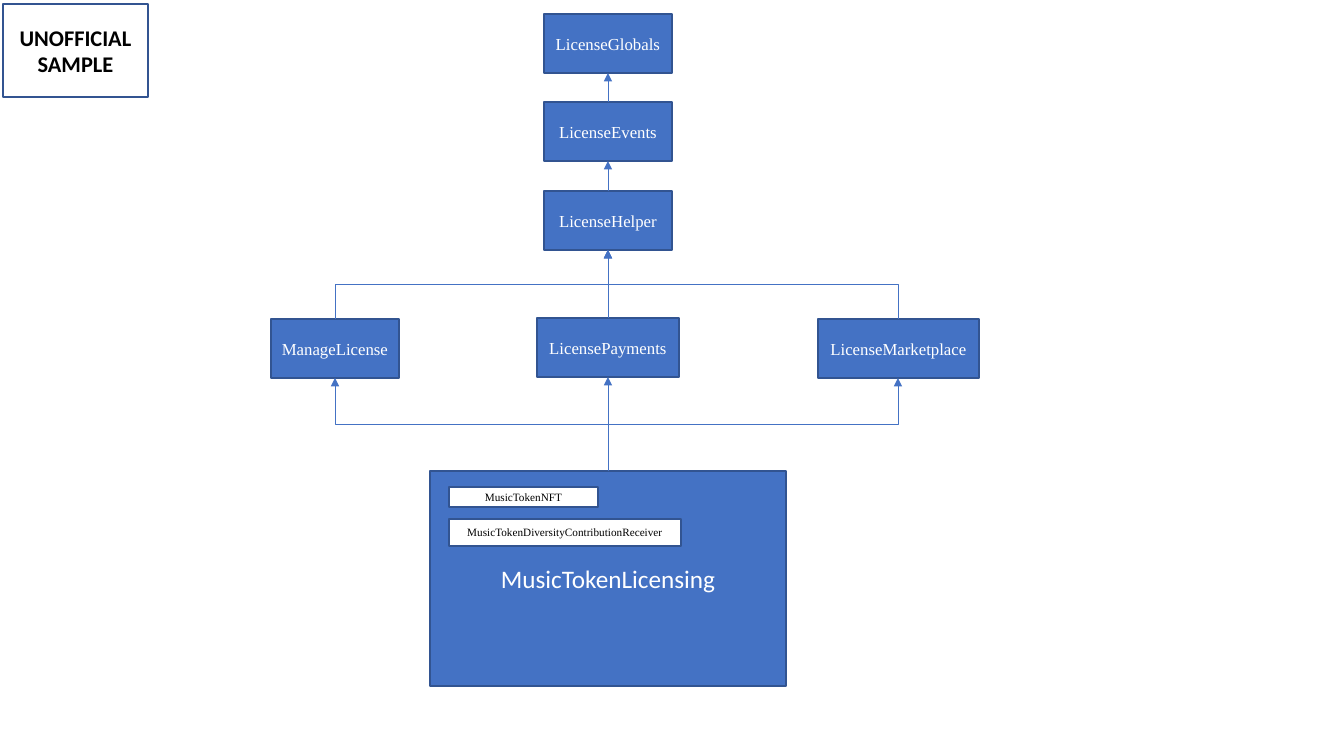
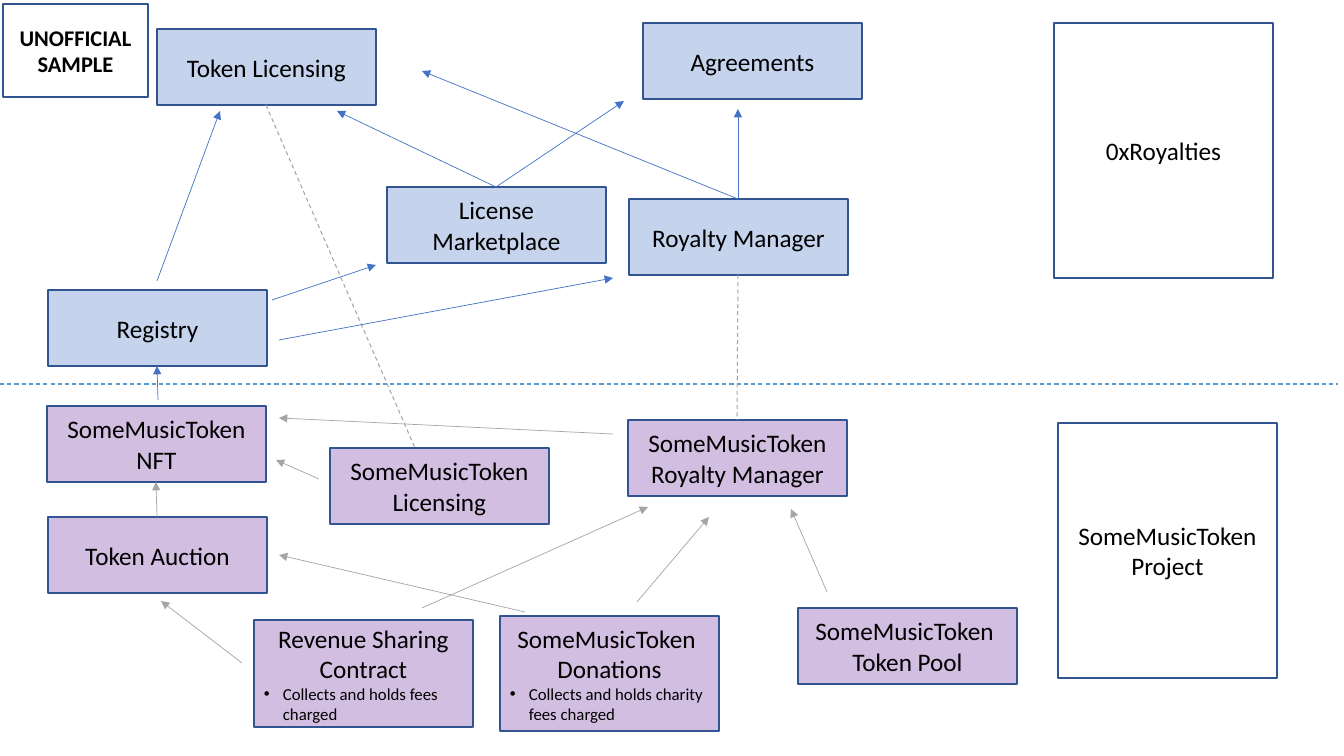
from dataclasses import dataclass

from lxml.etree import SubElement
from pptx import Presentation
from pptx.dml.color import RGBColor
from pptx.enum.dml import MSO_LINE
from pptx.enum.shapes import MSO_CONNECTOR, MSO_SHAPE
from pptx.enum.text import MSO_ANCHOR, PP_ALIGN
from pptx.oxml.ns import qn
from pptx.shapes.connector import Connector
from pptx.slide import Slide
from pptx.text.text import _Paragraph as Paragraph
from pptx.util import Pt

PIXEL = 914400 / 100.8
BLUE, PURPLE, BORDER = "4472C4", "7030A0", "325491"
GREY, SKY, WHITE, BLACK = "A5A5A5", "5B9BD5", "FFFFFF", "000000"
SERIF, SANS = "Times New Roman", "Calibri"
BULLET_INDENT = 19
TINT = 31
CARD_WIDTH, CARD_HEIGHT, LEGEND_HEIGHT = 219, 76, 255

Point = tuple[int, int]


@dataclass(frozen=True)
class Box:
    """A bordered rectangle with centred lines and an optional bullet."""
    left: int
    top: int
    width: int
    height: int
    lines: tuple[str, ...]
    fill: str | None = None
    opacity: int = 100
    font: str = SANS
    size: int = 18
    color: str = BLACK
    bold: bool = False
    bullet: str = ""

    @property
    def top_center(self) -> Point:
        """Return the middle of the upper edge."""
        return self.left + self.width // 2, self.top

    @property
    def bottom_center(self) -> Point:
        """Return the middle of the lower edge."""
        return self.left + self.width // 2, self.top + self.height


@dataclass(frozen=True)
class Wire:
    """A straight line from start to end, with an arrowhead or dashes."""
    start: Point
    end: Point
    color: str = BLUE
    dashed: bool = False


def emu(pixels: float) -> int:
    """Turn pixels into EMU."""
    return round(pixels * PIXEL)


def rgb(value: str) -> RGBColor:
    """Turn a hex string into a colour."""
    return RGBColor.from_string(value)


def add_text(para: Paragraph, text: str, *, font: str, size: int, color: str,
             bold: bool = False, align: PP_ALIGN = PP_ALIGN.CENTER) -> None:
    """Write one formatted span into a paragraph."""
    para.alignment = align
    span = para.add_run()
    span.text = text
    span.font.name = font
    span.font.size = Pt(size)
    span.font.bold = bold
    span.font.color.rgb = rgb(color)


def add_bullet(para: Paragraph) -> None:
    """Give a paragraph a hanging round bullet."""
    properties = para._p.get_or_add_pPr()
    properties.set("marL", str(emu(BULLET_INDENT)))
    properties.set("indent", str(-emu(BULLET_INDENT)))
    SubElement(properties, qn("a:buFont"), typeface="Arial")
    SubElement(properties, qn("a:buChar"), char="•")


def draw_box(page: Slide, box: Box) -> None:
    """Draw a box with its text."""
    shape = page.shapes.add_shape(
        MSO_SHAPE.RECTANGLE, *map(emu, (box.left, box.top, box.width, box.height)))
    shape.shadow.inherit = False
    shape.line.color.rgb = rgb(BORDER)
    shape.line.width = Pt(1)
    if box.fill is None:
        shape.fill.background()
    else:
        shape.fill.solid()
        shape.fill.fore_color.rgb = rgb(box.fill)
        if box.opacity < 100:
            color = shape.element.spPr.find(qn("a:solidFill")).find(qn("a:srgbClr"))
            SubElement(color, qn("a:alpha"), val=str(box.opacity * 1000))
    frame = shape.text_frame
    frame.word_wrap = True
    frame.vertical_anchor = MSO_ANCHOR.MIDDLE
    for number, line in enumerate(box.lines):
        para = frame.add_paragraph() if number else frame.paragraphs[0]
        add_text(para, line, font=box.font, size=box.size, color=box.color, bold=box.bold)
    if box.bullet:
        para = frame.add_paragraph()
        add_text(para, box.bullet, font=box.font, size=12, color=box.color,
                 align=PP_ALIGN.LEFT)
        add_bullet(para)


def style_connector(connector: Connector, color: str, dashed: bool = False) -> None:
    """Set the line of a connector, dashed or with an arrowhead."""
    connector.line.color.rgb = rgb(color)
    connector.line.width = Pt(0.75 if dashed else 0.5)
    properties = connector.element.spPr
    if dashed:
        connector.line.dash_style = MSO_LINE.DASH
    else:
        SubElement(properties.find(qn("a:ln")), qn("a:tailEnd"), type="triangle")
    SubElement(properties, qn("a:effectLst"))


def draw_wire(page: Slide, wire: Wire) -> None:
    """Draw a straight connector."""
    connector = page.shapes.add_connector(
        MSO_CONNECTOR.STRAIGHT, *map(emu, (*wire.start, *wire.end)))
    style_connector(connector, wire.color, wire.dashed)


def draw_inheritance(page: Slide, child: Box, parent: Box) -> None:
    """Draw an arrow up from child to parent, with an elbow when they are offset."""
    (start_x, start_y), (end_x, end_y) = child.top_center, parent.bottom_center
    if start_x == end_x:
        draw_wire(page, Wire(child.top_center, parent.bottom_center))
        return
    middle_x, middle_y = (start_x + end_x) / 2, (start_y + end_y) / 2
    half_rise, half_run = (start_y - end_y) / 2, (end_x - start_x) / 2
    elbow = page.shapes.add_connector(
        MSO_CONNECTOR.ELBOW,
        emu(middle_x - half_rise), emu(middle_y - half_run),
        emu(middle_x + half_rise), emu(middle_y + half_run))
    elbow.element.spPr.find(qn("a:xfrm")).set("rot", str(270 * 60000))
    style_connector(elbow, BLUE)


def contract(left: int, top: int, width: int, name: str) -> Box:
    """Describe a contract of the class diagram."""
    return Box(left, top, width, 59, (name,), BLUE, font=SERIF, size=12, color=WHITE)


def member(top: int, width: int, height: int, name: str) -> Box:
    """Describe a white label inside the licensing contract."""
    return Box(449, top, width, height, (name,), WHITE, font=SERIF, size=8)


def card(left: int, top: int, fill: str, *lines: str,
         height: int = CARD_HEIGHT, bullet: str = "") -> Box:
    """Describe a tinted card of the module map."""
    return Box(left, top, CARD_WIDTH, height, lines, fill, TINT, bullet=bullet)


def legend(left: int, top: int, name: str) -> Box:
    """Describe the tall label of one zone."""
    return Box(left, top, CARD_WIDTH, LEGEND_HEIGHT, (name,))


STAMP = Box(3, 4, 145, 93, ("UNOFFICIAL SAMPLE",), size=16, bold=True)


def build_class_diagram(page: Slide) -> None:
    """Draw the inheritance of the licence contracts."""
    root = contract(544, 14, 128, "LicenseGlobals")
    events = contract(544, 102, 128, "LicenseEvents")
    helper = contract(544, 191, 128, "LicenseHelper")
    branches = (
        contract(271, 319, 128, "ManageLicense"),
        contract(537, 318, 142, "LicensePayments"),
        contract(818, 319, 161, "LicenseMarketplace"),
    )
    licensing = Box(430, 471, 356, 215, ("MusicTokenLicensing",), BLUE, color=WHITE)
    members = (
        member(487, 149, 20, "MusicTokenNFT"),
        member(519, 232, 27, "MusicTokenDiversityContributionReceiver"),
    )
    for box in (root, events, helper, *branches, licensing, *members, STAMP):
        draw_box(page, box)
    for branch in branches:
        draw_inheritance(page, licensing, branch)
        draw_inheritance(page, branch, helper)
    draw_inheritance(page, helper, events)
    draw_inheritance(page, events, root)


def build_module_map(page: Slide) -> None:
    """Draw the modules of both zones and their links."""
    licensing = card(157, 29, BLUE, "Token Licensing")
    manager = card(629, 199, BLUE, "Royalty Manager")
    market = card(387, 187, BLUE, "License Marketplace")
    token_nft = card(47, 406, PURPLE, "SomeMusicToken NFT")
    auction = card(48, 517, PURPLE, "Token Auction")
    token_licensing = card(330, 448, PURPLE, "SomeMusicToken Licensing")
    token_manager = card(628, 420, PURPLE, "SomeMusicToken", "Royalty Manager")
    boxes = (
        licensing, manager, market, token_nft, auction, token_licensing, token_manager,
        card(643, 23, BLUE, "Agreements"),
        card(48, 290, BLUE, "Registry"),
        card(798, 608, PURPLE, "SomeMusicToken ", "Token Pool"),
        card(254, 620, PURPLE, "Revenue Sharing Contract", height=107,
             bullet="Collects and holds fees charged"),
        card(500, 616, PURPLE, "SomeMusicToken ", "Donations", height=115,
             bullet="Collects and holds charity fees charged"),
        legend(1054, 23, "0xRoyalties"),
        legend(1058, 423, "SomeMusicToken Project"),
        STAMP,
    )
    wires = (
        Wire((0, 384), (1338, 384), SKY, dashed=True),
        Wire(licensing.bottom_center, (415, 448), GREY, dashed=True),
        Wire(manager.bottom_center, token_manager.top_center, GREY, dashed=True),
        Wire(market.top_center, (624, 101)),
        Wire(market.top_center, (337, 111)),
        Wire(manager.top_center, (422, 71)),
        Wire(manager.top_center, (738, 109)),
        Wire((157, 281), (220, 111)),
        Wire((272, 300), (376, 265)),
        Wire((279, 340), (613, 278)),
        Wire((158, 400), (157, 366)),
        Wire(auction.top_center, token_nft.bottom_center, GREY),
        Wire((242, 663), (161, 601), GREY),
        Wire((525, 612), (279, 555), GREY),
        Wire((422, 608), (648, 507), GREY),
        Wire((637, 602), (709, 517), GREY),
        Wire((827, 592), (791, 509), GREY),
        Wire((319, 479), (276, 460), GREY),
        Wire((613, 434), (279, 418), GREY),
    )
    for box in boxes:
        draw_box(page, box)
    for wire in wires:
        draw_wire(page, wire)


def main() -> None:
    """Build and save the deck."""
    deck = Presentation()
    deck.slide_width, deck.slide_height = emu(1344), emu(756)
    blank = deck.slide_layouts.get_by_name("Blank")
    for build in (build_class_diagram, build_module_map):
        build(deck.slides.add_slide(blank))
    deck.save("out.pptx")


main()
